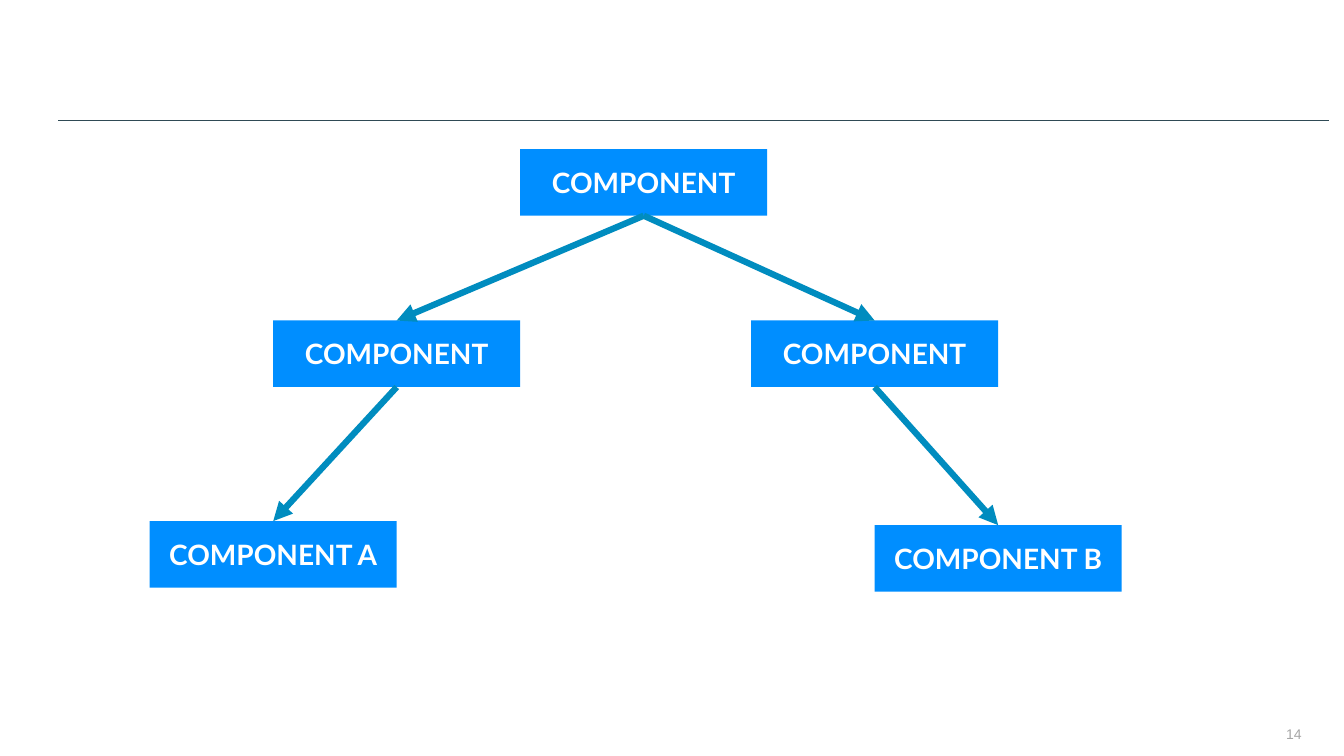
"""Build a slide with a tree of components joined by arrows."""
from lxml.etree import SubElement
from pptx import Presentation
from pptx.dml.color import RGBColor
from pptx.enum.shapes import MSO_CONNECTOR, MSO_SHAPE
from pptx.enum.text import MSO_ANCHOR, PP_ALIGN
from pptx.oxml.ns import qn
from pptx.util import Inches, Pt

COLORS = {"box": "008EFF", "arrow": "008CBF", "rule": "2F4A55",
          "label": "FFFFFF", "number": "A6A6A6"}
BOX_WIDTH, BOX_HEIGHT = 2.45, 0.66
HALF = BOX_WIDTH / 2
ROOT_LEFT, RIGHT_LEFT = 5.16, 7.45
LEFT_LEFT = ROOT_LEFT - BOX_WIDTH

NODES = {
    "root": ("COMPONENT", ROOT_LEFT, 1.48),
    "left": ("COMPONENT", LEFT_LEFT, 3.18),
    "leaf A": ("COMPONENT A", LEFT_LEFT - HALF, 5.17),
    "right": ("COMPONENT", RIGHT_LEFT, 3.18),
    "leaf B": ("COMPONENT B", RIGHT_LEFT + HALF, 5.21),
}
LINKS = [("root", "left"), ("left", "leaf A"), ("root", "right"), ("right", "leaf B")]


def add_line(start, end, color, width):
    line = page.shapes.add_connector(
        MSO_CONNECTOR.STRAIGHT, *[Inches(value) for value in (*start, *end)])
    line.line.color.rgb = RGBColor.from_string(COLORS[color])
    line.line.width = Pt(width)
    SubElement(line._element.spPr, qn("a:effectLst"))
    return line


def write(shape, text, size, font, color, align, anchor):
    frame = shape.text_frame
    frame.word_wrap = True
    frame.vertical_anchor = anchor
    para = frame.paragraphs[0]
    para.text = text
    para.alignment = align
    para.font.size = Pt(size)
    para.font.name = font
    para.font.color.rgb = RGBColor.from_string(COLORS[color])
    return frame


deck = Presentation()
deck.slide_width, deck.slide_height = Inches(13.33), Inches(7.5)
page = deck.slides.add_slide(deck.slide_layouts[6])

add_line((0.58, 1.19), (13.18, 1.19), "rule", 0.5)

number = page.shapes.add_textbox(Inches(12.58), Inches(7.13), Inches(0.33), Inches(0.23))
frame = write(number, "14", 10, "Arial", "number", PP_ALIGN.RIGHT, MSO_ANCHOR.BOTTOM)
frame.margin_left = frame.margin_right = frame.margin_top = frame.margin_bottom = 0

boxes = {}
for name, (label, left, top) in NODES.items():
    box = page.shapes.add_shape(MSO_SHAPE.RECTANGLE, Inches(left), Inches(top),
                                Inches(BOX_WIDTH), Inches(BOX_HEIGHT))
    box.shadow.inherit = False
    box.fill.solid()
    box.fill.fore_color.rgb = RGBColor.from_string(COLORS["box"])
    box.line.fill.background()
    frame = write(box, label, 20, "Lato", "label", PP_ALIGN.CENTER, MSO_ANCHOR.MIDDLE)
    frame.paragraphs[0].font.bold = True
    boxes[name] = box

for parent, child in LINKS:
    arrow = add_line((0, 0), (1, 1), "arrow", 4.5)
    arrow.begin_connect(boxes[parent], 2)
    arrow.end_connect(boxes[child], 0)
    SubElement(arrow.line._get_or_add_ln(), qn("a:tailEnd"), type="triangle")

deck.save("out.pptx")
